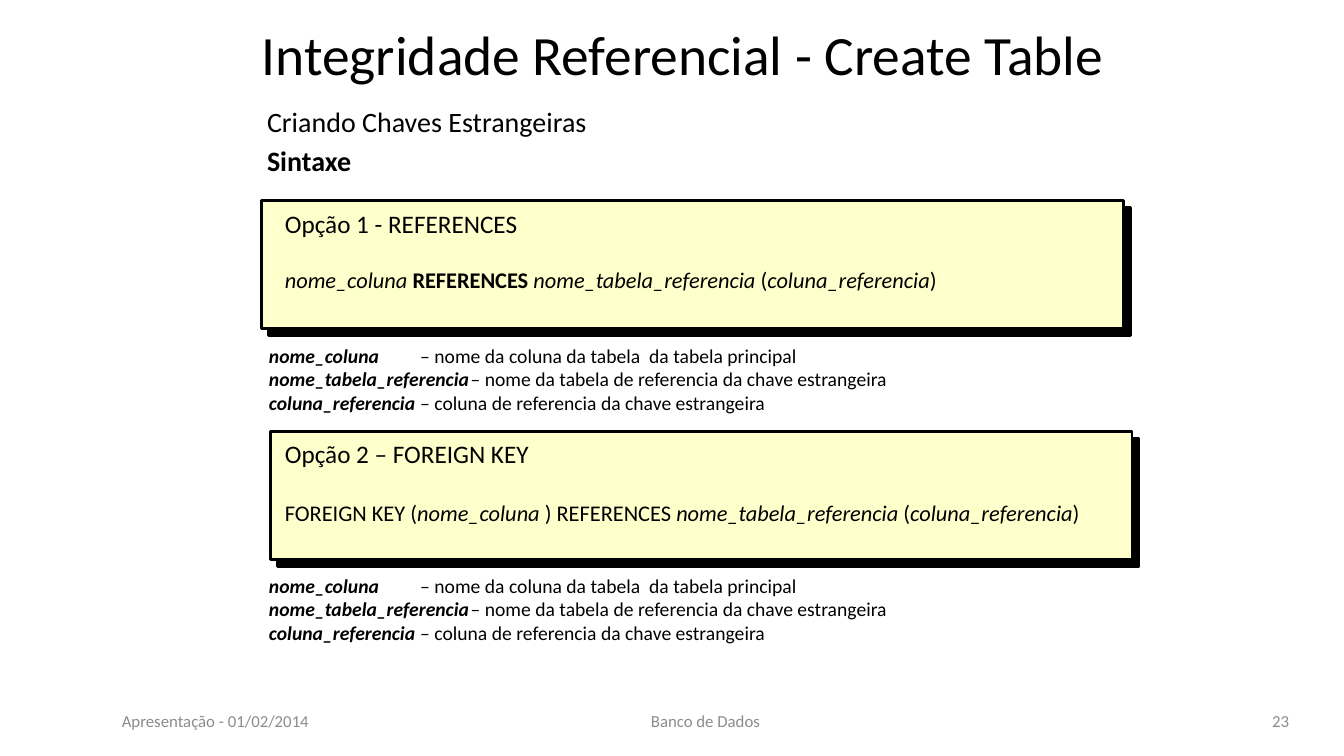
"""Build the slide on foreign keys in CREATE TABLE."""
from dataclasses import dataclass

from lxml import etree
from pptx import Presentation
from pptx.dml.color import RGBColor
from pptx.enum.shapes import MSO_SHAPE
from pptx.enum.text import MSO_ANCHOR, PP_ALIGN
from pptx.oxml.ns import qn
from pptx.slide import Slide
from pptx.util import Cm, Pt

BLACK = RGBColor(0x00, 0x00, 0x00)
GREY = RGBColor(0x8C, 0x8C, 0x8C)
CREAM = RGBColor(0xFF, 0xFF, 0xCC)
RECTANGLE = MSO_SHAPE.RECTANGLE
TOP, MIDDLE = MSO_ANCHOR.TOP, MSO_ANCHOR.MIDDLE
LEFT, CENTER, RIGHT = PP_ALIGN.LEFT, PP_ALIGN.CENTER, PP_ALIGN.RIGHT
FONT = "Calibri"
PLAIN: dict[str, bool] = {}
BOLD = {"bold": True}
ITALIC = {"italic": True}
TERM = {"bold": True, "italic": True}


@dataclass(frozen=True)
class Span:
    """A stretch of text with one format."""
    text: str
    style: dict[str, bool]


@dataclass(frozen=True)
class Para:
    """A paragraph with its size and the space above it, in points."""
    spans: tuple[Span, ...]
    size: float
    space: float = 0
    align: PP_ALIGN = LEFT


@dataclass(frozen=True)
class Area:
    """A rectangle on the slide, in centimetres."""
    left: float
    top: float
    width: float
    height: float

    def lengths(self) -> tuple[Cm, ...]:
        """Return the four lengths in the order that shapes take them."""
        return Cm(self.left), Cm(self.top), Cm(self.width), Cm(self.height)


@dataclass(frozen=True)
class Option:
    """A syntax panel with its text and the top of its glossary."""
    panel: Area
    text: Area
    heading: str
    syntax: tuple[Span, ...]
    gap: float
    glossary_top: float


REFERENCED = (Span("nome_tabela_referencia", ITALIC), Span(" (", PLAIN),
              Span("coluna_referencia", ITALIC), Span(")", PLAIN))
OPTIONS = (
    Option(Area(6.6, 5.05, 21.72, 3.23), Area(6.93, 5.13, 20.6, 2.39),
           "Opção 1 - REFERENCES",
           (Span("nome_coluna ", ITALIC), Span("REFERENCES ", BOLD), *REFERENCED),
           19.5, 8.53),
    Option(Area(6.81, 10.87, 21.72, 3.23), Area(6.93, 10.92, 21.41, 2.49),
           "Opção 2 – FOREIGN KEY",
           (Span("FOREIGN KEY (", PLAIN), Span("nome_coluna ", ITALIC),
            Span(") REFERENCES ", PLAIN), *REFERENCED),
           22, 14.33),
)
GLOSSARY = {
    "nome_coluna": "nome da coluna da tabela  da tabela principal",
    "nome_tabela_referencia": "nome da tabela de referencia da chave estrangeira",
    "coluna_referencia": "coluna de referencia da chave estrangeira",
}
FOOTERS = (
    ("Apresentação - 01/02/2014", 2.82, 7.9, LEFT),
    ("Banco de Dados", 12.42, 10.72, CENTER),
    ("23", 24.84, 7.9, RIGHT),
)


def add_text(page: Slide, area: Area, paras: list[Para],
             color: RGBColor = BLACK, anchor: MSO_ANCHOR = TOP) -> None:
    """Add a wrapping text box with formatted paragraphs."""
    frame = page.shapes.add_textbox(*area.lengths()).text_frame
    frame.word_wrap = True
    frame.vertical_anchor = anchor
    for index, para in enumerate(paras):
        paragraph = frame.add_paragraph() if index else frame.paragraphs[0]
        paragraph.alignment = para.align
        paragraph.space_before = Pt(para.space)
        for span in para.spans:
            run = paragraph.add_run()
            run.text = span.text
            run.font.color.rgb = color
            values = {"name": FONT, "size": Pt(para.size), **span.style}
            for name, value in values.items():
                setattr(run.font, name, value)


def add_panel(page: Slide, area: Area) -> None:
    """Add a cream rectangle with a hard black shadow."""
    panel = page.shapes.add_shape(RECTANGLE, *area.lengths())
    panel.fill.solid()
    panel.fill.fore_color.rgb = CREAM
    panel.line.color.rgb = BLACK
    panel.line.width = Pt(2)
    panel.shadow.inherit = False
    effects = panel.element.spPr.find(qn("a:effectLst"))
    shadow = etree.SubElement(effects, qn("a:outerShdw"), blurRad="0",
                              dist=str(Pt(7.1)), dir="2700000", algn="ctr",
                              rotWithShape="0")
    etree.SubElement(shadow, qn("a:srgbClr"), val=str(BLACK))


def add_option(page: Slide, option: Option) -> None:
    """Add a syntax panel and the glossary below it."""
    add_panel(page, option.panel)
    add_text(page, option.text, [
        Para((Span(option.heading, PLAIN),), 18),
        Para(option.syntax, 16, option.gap),
    ])
    add_text(page, Area(6.53, option.glossary_top, 22.61, 2.06), [
        Para((Span(term, TERM), Span(f"\t– {meaning}", PLAIN)), 14)
        for term, meaning in GLOSSARY.items()
    ])


def main() -> None:
    """Build and save the deck."""
    deck = Presentation()
    deck.slide_width, deck.slide_height = Cm(33.87), Cm(19.05)
    page = deck.slides.add_slide(deck.slide_layouts[6])
    for text, left, width, align in FOOTERS:
        add_text(page, Area(left, 17.65, width, 1.02),
                 [Para((Span(text, PLAIN),), 12, align=align)], GREY, MIDDLE)
    title = Span("Integridade Referencial - Create Table", PLAIN)
    add_text(page, Area(6.35, 0.15, 22.43, 2.39), [Para((title,), 39.6)], anchor=MIDDLE)
    add_text(page, Area(6.48, 2.51, 22.45, 2.21), [
        Para((Span("Criando Chaves Estrangeiras", PLAIN),), 20, 4),
        Para((Span("Sintaxe", BOLD),), 20, 4),
    ])
    for option in OPTIONS:
        add_option(page, option)
    deck.save("out.pptx")


main()
